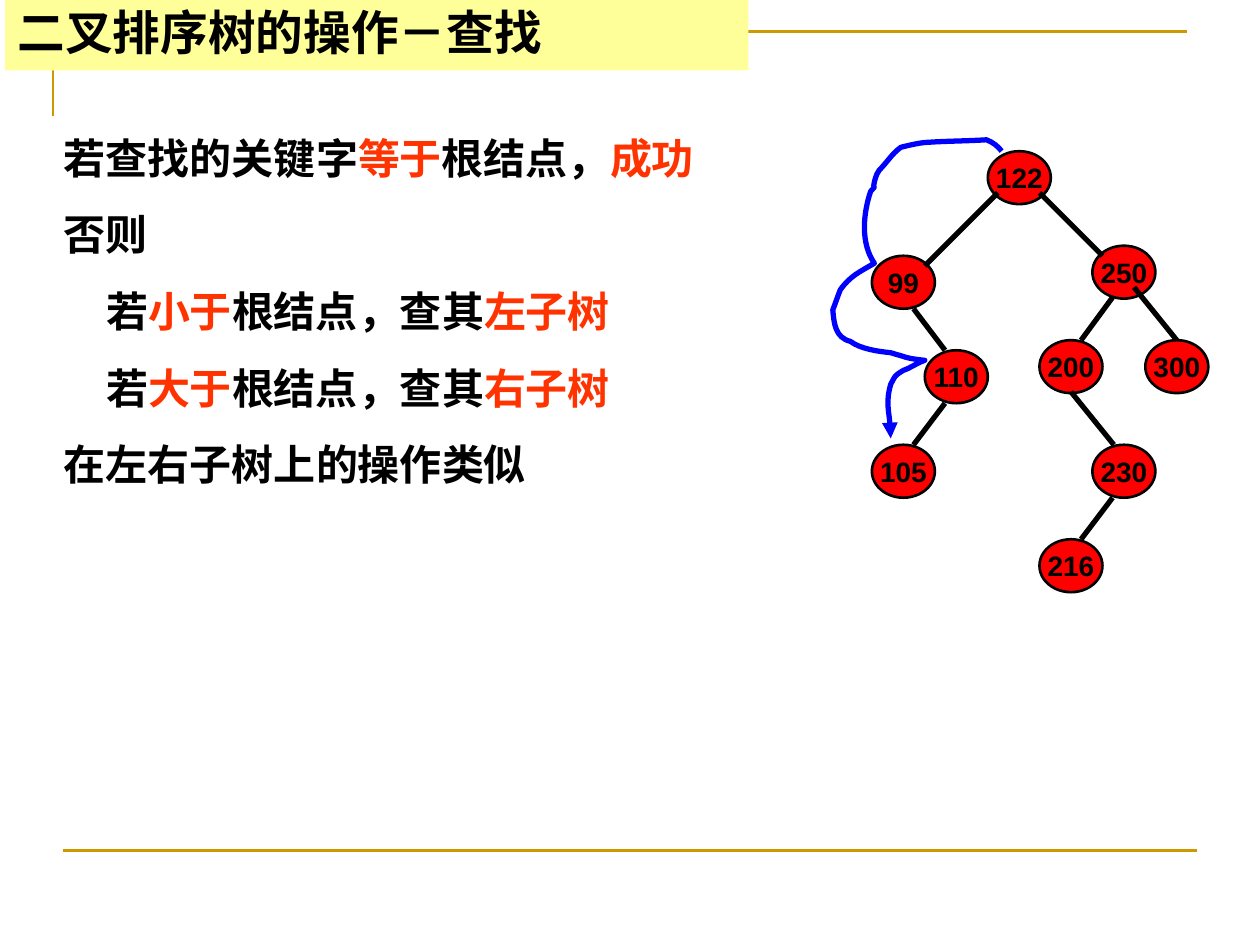
from lxml.etree import SubElement
from pptx import Presentation
from pptx.dml.color import RGBColor
from pptx.enum.shapes import MSO_CONNECTOR as Connector, MSO_SHAPE as Shape
from pptx.enum.text import MSO_ANCHOR as Anchor, MSO_AUTO_SIZE as AutoSize, PP_ALIGN as Align
from pptx.oxml.ns import qn
from pptx.util import Inches, Pt

THEME = {
    "text": "000000", "accent": "FF3300", "node": "FF0000", "edge": "000000",
    "path": "0000FF", "frame": "CC9900", "band": "FFFF99",
    "title_size": 27.2, "body_size": 24, "node_size": 16,
    "thin": 1.5, "thick": 3,
    "chinese": "Noto Sans CJK SC", "latin": "Arial",
}

TITLE = "二叉排序树的操作－查找"
RULES = [
    (0, [("若查找的关键字", "text"), ("等于", "accent"), ("根结点，", "text"), ("成功", "accent")]),
    (0, [("否则", "text")]),
    (1, [("若", "text"), ("小于", "accent"), ("根结点，查其", "text"), ("左子树", "accent")]),
    (1, [("若", "text"), ("大于", "accent"), ("根结点，查其", "text"), ("右子树", "accent")]),
    (0, [("在左右子树上的操作类似", "text")]),
]
NODE_SIZE = (0.5, 0.42)
NODES = {
    "122": (7.84, 1.2), "250": (8.67, 1.95), "300": (9.09, 2.7),
    "110": (7.34, 2.78), "200": (8.25, 2.7), "99": (6.92, 2.03),
    "105": (6.92, 3.53), "230": (8.67, 3.53), "216": (8.25, 4.28),
}
EDGES = [
    ((7.92, 1.53), (7.34, 2.11)), ((8.25, 1.53), (8.75, 2.03)),
    ((9, 2.28), (9.34, 2.7)), ((8.83, 2.36), (8.58, 2.7)),
    ((7.25, 2.45), (7.5, 2.78)), ((7.5, 3.2), (7.25, 3.53)),
    ((8.5, 3.11), (8.84, 3.53)), ((8.83, 3.95), (8.58, 4.28)),
]
SEARCH_START = (7.95, 1.2)
SEARCH_CURVES = [
    ((7.92, 1.16), (7.88, 1.13), (7.83, 1.11)),
    ((7.67, 1.12), (7.52, 1.12), (7.37, 1.13)),
    ((7.3, 1.13), (7.15, 1.17), (7.15, 1.17)),
    ((7.08, 1.22), (7.04, 1.29), (6.98, 1.35)),
    ((6.97, 1.37), (6.95, 1.39), (6.95, 1.41)),
    ((6.91, 1.54), (6.97, 1.45), (6.91, 1.52)),
    ((6.85, 1.7), (6.83, 1.93), (6.94, 2.09)),
    ((6.82, 2.16), (6.75, 2.19), (6.67, 2.3)),
    ((6.65, 2.35), (6.63, 2.41), (6.61, 2.46)),
    ((6.62, 2.57), (6.63, 2.68), (6.75, 2.71)),
    ((6.83, 2.77), (6.97, 2.79), (7.07, 2.8)),
    ((7.1, 2.81), (7.14, 2.82), (7.17, 2.83)),
    ((7.22, 2.85), (7.34, 2.86), (7.34, 2.86)),
    ((7.28, 2.88), (7.23, 2.92), (7.17, 2.94)),
    ((7.09, 2.99), (7.11, 2.98), (7.07, 3.05)),
    ((7.03, 3.19), (7.07, 3.33), (7.07, 3.48)),
]
FRAME = [(0.42, 0.92), (0.42, 0.25), (9.42, 0.25)]
FOOT_LINE = ((0.5, 6.75), (9.5, 6.75))


def color(name):
    return RGBColor.from_string(THEME[name])


def add_run(paragraph, text, size, face, ink="text"):
    run = paragraph.add_run()
    run.text = text
    run.font.size = Pt(THEME[size])
    run.font.bold = True
    run.font.color.rgb = color(ink)
    run.font.name = THEME[face]
    SubElement(run.font._element, qn("a:ea"), typeface=THEME[face])


def set_line(shape, ink, width):
    shape.line.color.rgb = color(ink)
    shape.line.width = Pt(THEME[width])


def add_line(shapes, start, end, ink, width):
    points = [Inches(value) for value in (*start, *end)]
    line = shapes.add_connector(Connector.STRAIGHT, *points)
    set_line(line, ink, width)
    SubElement(line._element.spPr, qn("a:effectLst"))


def add_outline(shapes, points, ink, width):
    points = [(Inches(x), Inches(y)) for x, y in points]
    builder = shapes.build_freeform(*points[0])
    builder.add_line_segments(points[1:], close=False)
    outline = builder.convert_to_shape()
    outline.shadow.inherit = False
    outline.fill.background()
    set_line(outline, ink, width)
    return outline


def add_search_path(shapes):
    ends = [SEARCH_START] + [curve[-1] for curve in SEARCH_CURVES]
    search = add_outline(shapes, ends, "path", "thick")
    segments = list(search._element.iter(qn("a:lnTo")))
    for segment, curve in zip(segments, SEARCH_CURVES):
        segment.tag = qn("a:cubicBezTo")
        segment.remove(segment[0])
        for x, y in curve:
            SubElement(segment, qn("a:pt"), x=str(Inches(x) - search.left), y=str(Inches(y) - search.top))
    SubElement(search.line._get_or_add_ln(), qn("a:tailEnd"), type="triangle")


def add_node(shapes, key, place):
    node = shapes.add_shape(Shape.OVAL, *map(Inches, (*place, *NODE_SIZE)))
    node.shadow.inherit = False
    node.fill.solid()
    node.fill.fore_color.rgb = color("node")
    set_line(node, "edge", "thin")
    frame = node.text_frame
    frame.word_wrap = False
    frame.vertical_anchor = Anchor.MIDDLE
    frame.paragraphs[0].alignment = Align.CENTER
    add_run(frame.paragraphs[0], key, "node_size", "latin")


def add_rules(shapes):
    box = shapes.add_textbox(Inches(-0.09), Inches(1), Inches(6.04), Inches(2.94))
    frame = box.text_frame
    frame.word_wrap = True
    for index, (level, runs) in enumerate(RULES):
        paragraph = frame.add_paragraph() if index else frame.paragraphs[0]
        if index:
            paragraph.space_before = Pt(15)
        indent = Inches(0.5) + level * Pt(THEME["body_size"])
        paragraph._p.get_or_add_pPr().set("marL", str(indent))
        for text, ink in runs:
            add_run(paragraph, text, "body_size", "chinese", ink)


def format_title(title):
    title.left, title.top, title.width, title.height = map(Inches, (0.04, 0, 5.9, 0.56))
    title.fill.solid()
    title.fill.fore_color.rgb = color("band")
    frame = title.text_frame
    frame.word_wrap = True
    frame.auto_size = AutoSize.NONE
    frame.vertical_anchor = Anchor.MIDDLE
    paragraph = frame.paragraphs[0]
    paragraph.alignment = Align.LEFT
    paragraph.line_spacing = 0.9
    add_run(paragraph, TITLE, "title_size", "chinese")
    title._element.getparent().append(title._element)


def main():
    presentation = Presentation()
    presentation.slide_width, presentation.slide_height = Inches(10), Inches(7.5)
    slide = presentation.slides.add_slide(presentation.slide_layouts[5])
    shapes = slide.shapes

    add_outline(shapes, FRAME, "frame", "thin")
    add_line(shapes, *FOOT_LINE, "frame", "thin")
    add_rules(shapes)

    tree = shapes.add_group_shape().shapes
    for key, place in NODES.items():
        add_node(tree, key, place)
    for start, end in EDGES:
        add_line(tree, start, end, "edge", "thick")

    add_search_path(shapes)
    format_title(shapes.title)
    presentation.save("out.pptx")


if __name__ == "__main__":
    main()
